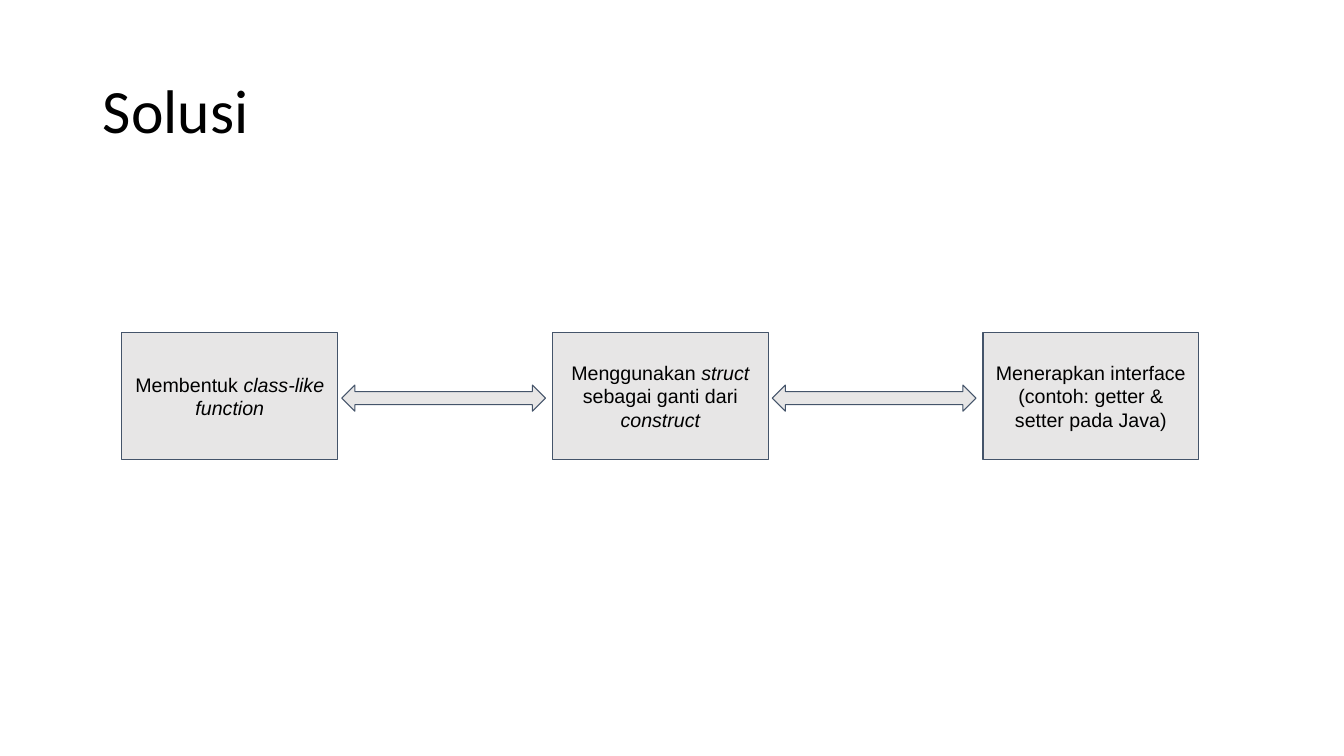
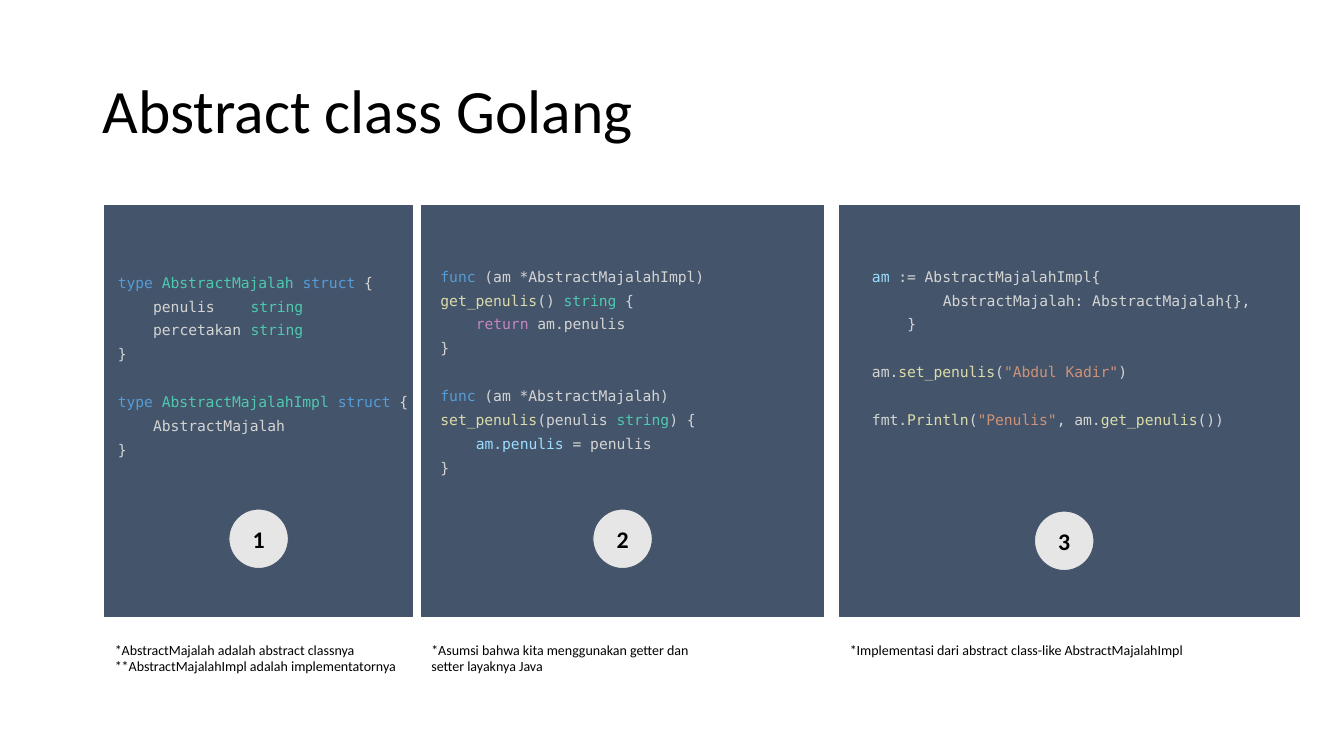
"""Build two slides on abstract classes in Golang."""
import lxml.etree
import pptx
import pptx.dml.color
import pptx.enum.shapes
import pptx.enum.text
import pptx.oxml.ns
import pptx.util

KIND = pptx.enum.shapes.MSO_SHAPE
ALIGN = pptx.enum.text.PP_ALIGN
ANCHOR = pptx.enum.text.MSO_ANCHOR
Pt = pptx.util.Pt


def px(size):
    return pptx.util.Emu(size * 9144)


def tint(code):
    return pptx.dml.color.RGBColor.from_string(code)


class Deck:
    LIGHT, DARK, BLACK = "E7E6E6", "44546A", "000000"
    HEAD = {"name": "Calibri", "size": Pt(44)}
    STEP = {"name": "Arial", "size": Pt(14)}
    CODE = {"name": "DejaVu Sans Mono", "size": Pt(10.5)}
    BADGE = {"name": "Calibri", "size": Pt(17), "bold": True}
    NOTE = {"name": "Calibri", "size": Pt(10)}
    INKS = {
        "key": "569CD6", "type": "4EC9B0", "func": "DCDCAA", "flow": "C586C0",
        "name": "9CDCFE", "str": "CE9178", "base": "D4D4D4",
    }
    STOPS = (4, 8, 15)
    CHAR = 6.32
    GAP = Pt(17)

    def __init__(self):
        self.file = pptx.Presentation()
        self.file.slide_width, self.file.slide_height = px(1333), px(750)
        self.slide = None

    def page(self, title):
        self.slide = self.file.slides.add_slide(self.file.slide_layouts[5])
        head = self.slide.shapes.title
        head.left, head.top, head.width, head.height = map(px, (92, 40, 1150, 145))
        para = self.frame(head, ANCHOR.MIDDLE, 10, 5).paragraphs[0]
        para.alignment, para.line_spacing = ALIGN.LEFT, 0.9
        self.run(para, title, self.HEAD)

    def frame(self, shape, anchor, side, edge):
        frame = shape.text_frame
        looks = {
            "word_wrap": True, "auto_size": pptx.enum.text.MSO_AUTO_SIZE.NONE,
            "vertical_anchor": anchor, "margin_left": px(side),
            "margin_right": px(side), "margin_top": px(edge), "margin_bottom": px(edge),
        }
        for key, value in looks.items():
            setattr(frame, key, value)
        return frame

    def run(self, para, text, style, ink=BLACK):
        run = para.add_run()
        run.text = text
        for key, value in style.items():
            setattr(run.font, key, value)
        run.font.color.rgb = tint(ink)

    def shape(self, kind, spot, fill=LIGHT):
        shape = self.slide.shapes.add_shape(kind, *map(px, spot))
        shape.shadow.inherit = False
        shape.fill.solid()
        shape.fill.fore_color.rgb = tint(fill)
        shape.line.color.rgb = tint(self.DARK)
        shape.line.width = Pt(0.75)
        return shape

    def label(self, shape, runs, style, inset):
        para = self.frame(shape, ANCHOR.MIDDLE, inset, inset).paragraphs[0]
        para.alignment = ALIGN.CENTER
        for text, slant in runs:
            self.run(para, text, {**style, "italic": slant})

    def step(self, spot, runs):
        self.label(self.shape(KIND.RECTANGLE, spot), runs, self.STEP, 10)

    def arrow(self, spot):
        self.shape(KIND.LEFT_RIGHT_ARROW, spot)

    def panel(self, spot):
        self.shape(KIND.RECTANGLE, spot, self.DARK)

    def badge(self, left, top, text):
        disc = self.shape(KIND.OVAL, (left, top, 59, 59))
        self.label(disc, [(text, False)], self.BADGE, 0)

    def paras(self, spot, count):
        box = self.slide.shapes.add_textbox(*map(px, spot))
        frame = self.frame(box, ANCHOR.TOP, 10, 10)
        return [frame.paragraphs[0]] + [frame.add_paragraph() for _ in range(count - 1)]

    def note(self, spot, lines):
        for para, line in zip(self.paras(spot, len(lines)), lines):
            self.run(para, line, self.NOTE)

    def code(self, spot, blocks):
        lines = [(line, at == 0 and num > 0)
                 for num, block in enumerate(blocks) for at, line in enumerate(block)]
        for para, (line, gap) in zip(self.paras(spot, len(lines)), lines):
            para.line_spacing = 1.36
            if gap:
                para.space_before = self.GAP
            self.tabs(para)
            for ink, text in line:
                self.run(para, text, self.CODE, self.INKS[ink])

    def tabs(self, para):
        name = pptx.oxml.ns.qn
        group = lxml.etree.SubElement(para._p.get_or_add_pPr(), name("a:tabLst"))
        for stop in self.STOPS:
            tab = lxml.etree.SubElement(group, name("a:tab"))
            tab.set("pos", str(int(Pt(stop * self.CHAR))))
            tab.set("algn", "l")


STEPS = [
    [("Membentuk ", False), ("class-like function", True)],
    [("Menggunakan ", False), ("struct", True),
     (" sebagai ganti dari ", False), ("construct", True)],
    [("Menerapkan interface (contoh: getter & setter pada Java)", False)],
]

END = [("base", "}")]

TYPES = [
    [
        [("key", "type "), ("type", "AbstractMajalah "), ("key", "struct"), ("base", " {")],
        [("base", "\tpenulis\t"), ("type", "string")],
        [("base", "\tpercetakan\t"), ("type", "string")],
        END,
    ],
    [
        [("key", "type "), ("type", "AbstractMajalahImpl "), ("key", "struct"), ("base", " {")],
        [("base", "\tAbstractMajalah")],
        END,
    ],
]

FUNCS = [
    [
        [("key", "func"), ("base", " (am *AbstractMajalahImpl) "), ("func", "get_penulis"),
         ("base", "() "), ("type", "string"), ("base", " {")],
        [("flow", "\treturn"), ("base", " am.penulis")],
        END,
    ],
    [
        [("key", "func"), ("base", " (am *AbstractMajalah) "), ("func", "set_penulis"),
         ("base", "(penulis "), ("type", "string"), ("base", ") {")],
        [("name", "\tam.penulis"), ("base", " = penulis")],
        END,
    ],
]

CALLS = [
    [
        [("name", "am"), ("base", " := AbstractMajalahImpl{")],
        [("base", "\t\tAbstractMajalah: AbstractMajalah{},")],
        [("base", "\t}")],
    ],
    [[("base", "am."), ("func", "set_penulis"), ("base", "("),
      ("str", '"Abdul Kadir"'), ("base", ")")]],
    [[("base", "fmt."), ("func", "Println"), ("base", "("), ("str", '"Penulis"'),
      ("base", ", am."), ("func", "get_penulis"), ("base", "())")]],
]

PANELS = [
    (104, 305, (107, 255, 520, 231), TYPES, (227, 505), 305,
     ["*AbstractMajalah adalah abstract classnya",
      "**AbstractMajalahImpl adalah implementatornya"]),
    (418, 399, (427, 249, 399, 278), FUNCS, (588, 505), 276,
     ["*Asumsi bahwa kita menggunakan getter dan setter layaknya Java"]),
    (833, 456, (855, 249, 412, 182), CALLS, (1026, 507), 354,
     ["*Implementasi dari abstract class-like AbstractMajalahImpl"]),
]


def main():
    deck = Deck()

    deck.page("Solusi")
    left, pitch, wide = 121, 427, 214
    for num, runs in enumerate(STEPS):
        spot = left + num * pitch
        deck.step((spot, 330, wide, 126), runs)
        if num < len(STEPS) - 1:
            deck.arrow((spot + wide + 4, 382, 202, 26))

    deck.page("Abstract class Golang")
    for num, (left, wide, area, blocks, disc, span, lines) in enumerate(PANELS, 1):
        deck.panel((left, 204, wide, 408))
        deck.code(area, blocks)
        deck.badge(*disc, str(num))
        deck.note((left, 626, span, 54), lines)

    deck.file.save("out.pptx")


if __name__ == "__main__":
    main()
